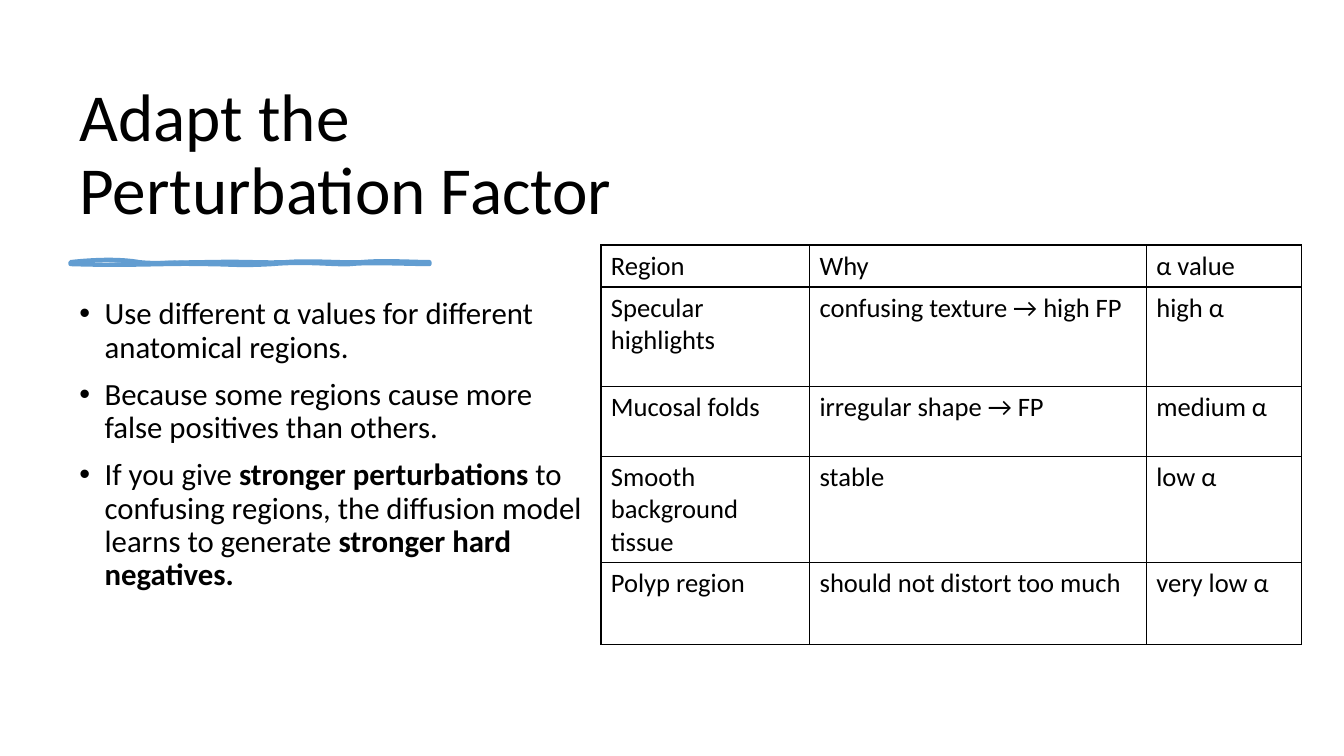
import dataclasses

import pptx
import pptx.dml.color
import pptx.enum.text
import pptx.oxml
import pptx.oxml.ns
import pptx.util

Inches = pptx.util.Inches
Pt = pptx.util.Pt
Point = tuple[float, float]

FONT = "Calibri"
BLACK = "000000"
STROKE_BLUE = "629DD1"
NAMESPACE = pptx.oxml.ns.nsdecls("a")


@dataclasses.dataclass(frozen=True)
class Span:
    text: str
    bold: bool = False


@dataclasses.dataclass(frozen=True)
class RegionRow:
    height: float
    region: str
    why: str
    alpha: str


@dataclasses.dataclass(frozen=True)
class BrushPass:
    """Cubic curves, each with two control points and an end point."""
    paint: str
    curves: list[tuple[Point, Point, Point]]


TITLE = [Span("Adapt the Perturbation Factor")]
BULLETS = [
    [Span("Use different α values for different anatomical regions.")],
    [Span("Because some regions cause more false positives than others.")],
    [
        Span("If you give "),
        Span("stronger perturbations", True),
        Span(" to confusing regions, the diffusion model learns to generate "),
        Span("stronger hard negatives.", True),
    ],
]
COLUMN_WIDTHS = [2.07, 3.34, 1.54]
REGION_ROWS = [
    RegionRow(0.39, "Region", "Why", "α value"),
    RegionRow(0.99, "Specular highlights", "confusing texture → high FP", "high α"),
    RegionRow(0.69, "Mucosal folds", "irregular shape → FP", "medium α"),
    RegionRow(0.99, "Smooth background tissue", "stable", "low α"),
    RegionRow(0.82, "Polyp region", "should not distort too much", "very low α"),
]
BRUSH_LEFT, BRUSH_TOP, BRUSH_RIGHT, BRUSH_BOTTOM = 0.7, 2.6, 4.26, 2.62
BRUSH_PASSES = [
    BrushPass('fill="none"', [
        ((0.97, 2.57), (1.21, 2.57), (1.38, 2.6)),
        ((1.55, 2.62), (1.77, 2.6), (2.09, 2.6)),
        ((2.41, 2.59), (2.6, 2.61), (2.84, 2.6)),
        ((3.08, 2.58), (3.39, 2.61), (3.59, 2.6)),
        ((3.79, 2.58), (4.12, 2.6), (4.26, 2.6)),
        ((4.26, 2.6), (4.26, 2.61), (4.26, 2.62)),
        ((4.08, 2.62), (3.64, 2.6), (3.48, 2.62)),
        ((3.32, 2.63), (3.04, 2.59), (2.7, 2.62)),
        ((2.35, 2.64), (2.31, 2.62), (1.99, 2.62)),
        ((1.66, 2.61), (1.32, 2.64), (0.7, 2.62)),
        ((0.7, 2.61), (0.7, 2.6), (0.7, 2.6)),
    ]),
    BrushPass('stroke="0"', [
        ((1.02, 2.62), (1.1, 2.6), (1.38, 2.6)),
        ((1.66, 2.59), (1.69, 2.57), (1.99, 2.6)),
        ((2.28, 2.62), (2.61, 2.61), (2.77, 2.6)),
        ((2.93, 2.58), (3.27, 2.62), (3.44, 2.6)),
        ((3.62, 2.57), (3.97, 2.63), (4.26, 2.6)),
        ((4.26, 2.6), (4.26, 2.61), (4.26, 2.62)),
        ((4.12, 2.61), (3.72, 2.64), (3.55, 2.62)),
        ((3.38, 2.59), (3.09, 2.62), (2.77, 2.62)),
        ((2.44, 2.61), (2.4, 2.6), (2.16, 2.62)),
        ((1.93, 2.63), (1.79, 2.61), (1.45, 2.62)),
        ((1.11, 2.62), (0.92, 2.61), (0.7, 2.62)),
        ((0.7, 2.61), (0.7, 2.6), (0.7, 2.6)),
    ]),
]


def color(value: str) -> pptx.dml.color.RGBColor:
    return pptx.dml.color.RGBColor.from_string(value)


def write_spans(para, spans: list[Span], size: float) -> None:
    for span in spans:
        run = para.add_run()
        run.text = span.text
        run.font.name = FONT
        run.font.size = Pt(size)
        run.font.bold = span.bold
        run.font.color.rgb = color(BLACK)


def add_text(page, left: float, top: float, width: float, height: float,
             paragraphs: list[list[Span]], size: float):
    box = page.shapes.add_textbox(Inches(left), Inches(top), Inches(width), Inches(height))
    frame = box.text_frame
    frame.word_wrap = True
    for index, spans in enumerate(paragraphs):
        para = frame.add_paragraph() if index else frame.paragraphs[0]
        para.line_spacing = 0.9
        write_spans(para, spans, size)
    return frame


def add_bullet(para) -> None:
    para.space_before = Pt(10)
    properties = para._p.get_or_add_pPr()
    properties.set("marL", str(Inches(0.25)))
    properties.set("indent", str(-Inches(0.25)))
    properties.append(pptx.oxml.parse_xml(f'<a:buFont {NAMESPACE} typeface="Arial"/>'))
    properties.append(pptx.oxml.parse_xml(f'<a:buChar {NAMESPACE} char="•"/>'))


def point_xml(point: Point) -> str:
    x, y = point
    return f'<a:pt x="{Inches(x - BRUSH_LEFT)}" y="{Inches(y - BRUSH_TOP)}"/>'


def brush_pass_xml(brush_pass: BrushPass) -> str:
    width = Inches(BRUSH_RIGHT - BRUSH_LEFT)
    height = Inches(BRUSH_BOTTOM - BRUSH_TOP)
    curves = "".join(
        f'<a:cubicBezTo>{"".join(map(point_xml, curve))}</a:cubicBezTo>'
        for curve in brush_pass.curves)
    return (f'<a:path {NAMESPACE} w="{width}" h="{height}" {brush_pass.paint}>'
            f'<a:moveTo>{point_xml((BRUSH_LEFT, BRUSH_TOP))}</a:moveTo>'
            f'{curves}<a:close/></a:path>')


def add_brush_line(page) -> None:
    """One freeform whose straight outline gives way to curved passes."""
    left, top, right, bottom = map(
        Inches, (BRUSH_LEFT, BRUSH_TOP, BRUSH_RIGHT, BRUSH_BOTTOM))
    builder = page.shapes.build_freeform(left, top)
    builder.add_line_segments([(right, top), (right, bottom), (left, bottom)])
    shape = builder.convert_to_shape()
    outlines = shape._element.spPr.find(".//" + pptx.oxml.ns.qn("a:pathLst"))
    outlines[:] = [pptx.oxml.parse_xml(brush_pass_xml(each)) for each in BRUSH_PASSES]

    shape.shadow.inherit = False
    shape.fill.solid()
    shape.fill.fore_color.rgb = color(STROKE_BLUE)
    shape.line.color.rgb = color(STROKE_BLUE)
    shape.line.width = Pt(3)
    line = shape.line._get_or_add_ln()
    line.set("cap", "rnd")
    line.append(pptx.oxml.parse_xml(f"<a:round {NAMESPACE}/>"))


def add_cell_borders(cell) -> None:
    properties = cell._tc.get_or_add_tcPr()
    for position, side in enumerate(("lnL", "lnR", "lnT", "lnB")):
        properties.insert(position, pptx.oxml.parse_xml(
            f'<a:{side} {NAMESPACE} w="{Pt(1)}">'
            f'<a:solidFill><a:srgbClr val="{BLACK}"/></a:solidFill></a:{side}>'))


def add_region_table(page, left: float, top: float) -> None:
    height = sum(row.height for row in REGION_ROWS)
    table = page.shapes.add_table(
        len(REGION_ROWS), len(COLUMN_WIDTHS), Inches(left), Inches(top),
        Inches(sum(COLUMN_WIDTHS)), Inches(height)).table
    table.first_row = False
    table.horz_banding = False
    for column, width in zip(table.columns, COLUMN_WIDTHS):
        column.width = Inches(width)
    for row, entry in zip(table.rows, REGION_ROWS):
        row.height = Inches(entry.height)
        for cell, text in zip(row.cells, (entry.region, entry.why, entry.alpha)):
            cell.fill.background()
            add_cell_borders(cell)
            write_spans(cell.text_frame.paragraphs[0], [Span(text)], 19)


def main() -> None:
    deck = pptx.Presentation()
    deck.slide_width = Inches(13.33)
    deck.slide_height = Inches(7.5)
    page = deck.slides.add_slide(deck.slide_layouts[6])

    title = add_text(page, 0.69, 0.7, 5.88, 1.62, [TITLE], 48)
    title.vertical_anchor = pptx.enum.text.MSO_ANCHOR.BOTTOM
    add_brush_line(page)
    body = add_text(page, 0.69, 2.91, 5.27, 3.88, BULLETS, 22)
    for para in body.paragraphs:
        add_bullet(para)
    add_region_table(page, 5.96, 2.43)

    deck.save("out.pptx")


if __name__ == "__main__":
    main()
